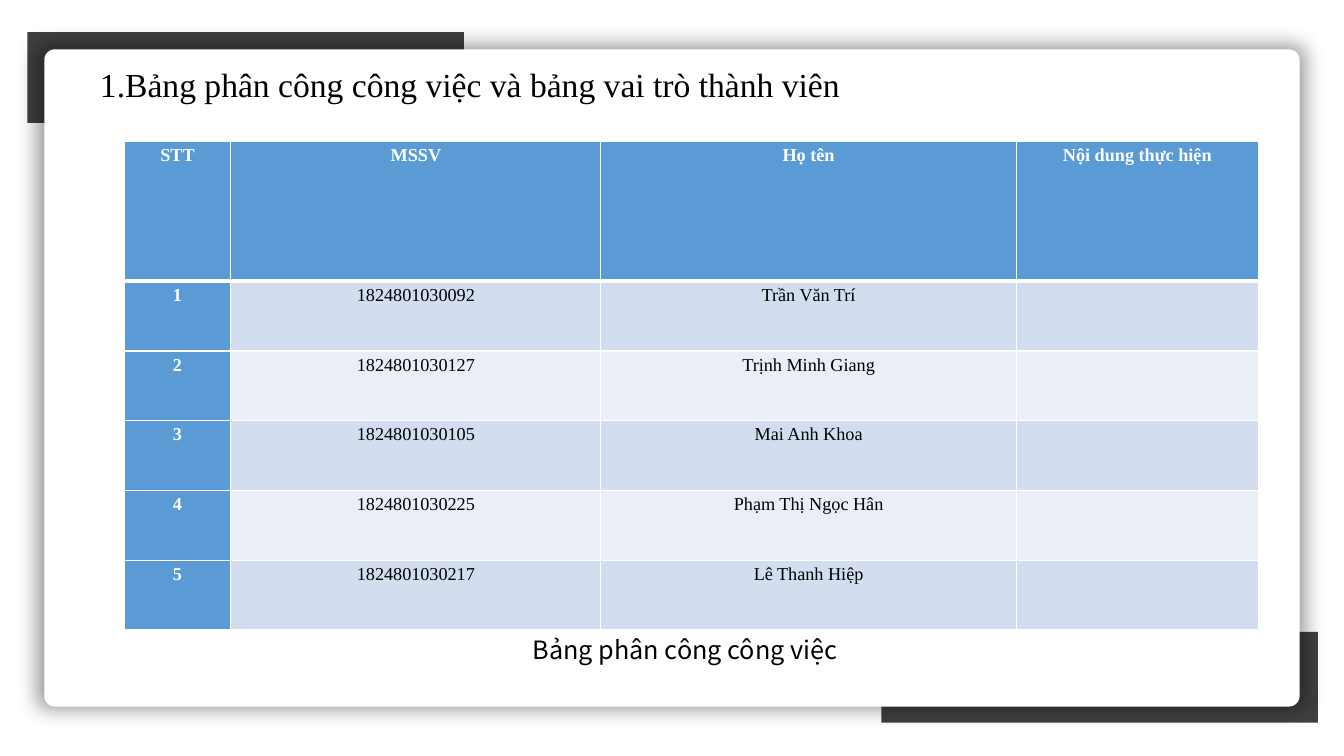
import pptx
import pptx.util
import pptx.oxml
import pptx.oxml.ns
import pptx.dml.color
import pptx.enum.shapes
import pptx.enum.text

WIDE, HIGH = pptx.util.Inches(13.33), pptx.util.Inches(7.5)
HUES = {"bar": "404040", "white": "FFFFFF", "black": "000000",
        "head": "5B9BD5", "odd": "D2DEEF", "even": "EAEFF7"}
SERIF, SANS = "Times New Roman", "Noto Sans CJK SC"
KINDS = pptx.enum.shapes.MSO_SHAPE
CENTER = pptx.enum.text.PP_ALIGN.CENTER

# Table content and grid, in percent of the slide
HEADS = ("STT", "MSSV", "Họ tên", "Nội dung thực hiện")
TEAM = (("1824801030092", "Trần Văn Trí"),
        ("1824801030127", "Trịnh Minh Giang"),
        ("1824801030105", "Mai Anh Khoa"),
        ("1824801030225", "Phạm Thị Ngọc Hân"),
        ("1824801030217", "Lê Thanh Hiệp"))
COLS = (7.95, 27.53, 30.91, 18)
TOP_ROW, ROW = 18.53, 9.23


def across(share):
    return round(WIDE * share / 100)


def down(share):
    return round(HIGH * share / 100)


def place(left, top, width, height):
    return across(left), down(top), across(width), down(height)


def color(name):
    return pptx.dml.color.RGBColor.from_string(HUES[name])


def add_run(para, text, size, face, hue="black", bold=False):
    run = para.add_run()
    run.text = text
    font = run.font
    font.size, font.name, font.bold = pptx.util.Pt(size), face, bold
    font.color.rgb = color(hue)


def add_block(slide, kind, box, hue):
    shape = slide.shapes.add_shape(kind, *place(*box))
    shape.shadow.inherit = False
    shape.fill.solid()
    shape.fill.fore_color.rgb = color(hue)
    shape.line.fill.background()
    return shape


def add_glow(shape):
    """Cast a soft, even shadow around the shape."""
    blur = pptx.util.Pt(15)
    ns = pptx.oxml.ns.nsdecls("a")
    effect = shape._element.spPr.find(pptx.oxml.ns.qn("a:effectLst"))
    effect.append(pptx.oxml.parse_xml(
        f'<a:outerShdw {ns} blurRad="{blur}" sx="101000" sy="101000" '
        f'algn="ctr" rotWithShape="0"><a:srgbClr val="{HUES["black"]}">'
        '<a:alpha val="40000"/></a:srgbClr></a:outerShdw>'))


def add_label(slide, box, text, size, face, align=None):
    frame = slide.shapes.add_textbox(*place(*box)).text_frame
    frame.word_wrap = True
    frame.auto_size = pptx.enum.text.MSO_AUTO_SIZE.SHAPE_TO_FIT_TEXT
    frame.paragraphs[0].alignment = align
    add_run(frame.paragraphs[0], text, size, face)


def add_edges(cell, top, base):
    """Draw white borders, given the top and bottom widths in points."""
    ns = pptx.oxml.ns.nsdecls("a")
    sides = (("L", 1), ("R", 1), ("T", top), ("B", base))
    for spot, (side, width) in enumerate(sides):
        cell._tc.get_or_add_tcPr().insert(spot, pptx.oxml.parse_xml(
            f'<a:ln{side} {ns} w="{pptx.util.Pt(width)}"><a:solidFill>'
            f'<a:srgbClr val="{HUES["white"]}"/></a:solidFill></a:ln{side}>'))


def fill_cell(cell, text, row, col):
    head = row == 0 or col == 0
    cell.fill.solid()
    cell.fill.fore_color.rgb = color(
        "head" if head else "odd" if row % 2 else "even")
    add_edges(cell, 3 if row == 1 else 1, 3 if row == 0 else 1)
    cell.margin_left = cell.margin_right = pptx.util.Inches(0.07)
    cell.margin_top = cell.margin_bottom = 0
    if text:
        para = cell.text_frame.paragraphs[0]
        para.alignment = CENTER
        para.line_spacing = 1.2
        para.space_after = pptx.util.Pt(8)
        add_run(para, text, 13, SERIF, "white" if head else "black", head)


def add_grid(slide, left, top):
    rows = [HEADS] + [(str(num), code, name, "")
                      for num, (code, name) in enumerate(TEAM, 1)]
    box = place(left, top, sum(COLS), TOP_ROW + ROW * len(TEAM))
    table = slide.shapes.add_table(len(rows), len(COLS), *box).table
    table.first_col = True
    for col, share in zip(table.columns, COLS):
        col.width = across(share)
    for row, texts in enumerate(rows):
        table.rows[row].height = down(ROW if row else TOP_ROW)
        for col, text in enumerate(texts):
            fill_cell(table.cell(row, col), text, row, col)


def main():
    deck = pptx.Presentation()
    deck.slide_width, deck.slide_height = WIDE, HIGH
    slide = deck.slides.add_slide(deck.slide_layouts[6])

    # Corner bars behind the white panel
    for left, top in ((65.57, 83.6), (2.03, 4.27)):
        add_block(slide, KINDS.RECTANGLE, (left, top, 32.48, 12), "bar")
    panel = add_block(slide, KINDS.ROUNDED_RECTANGLE,
                      (3.3, 6.53, 93.4, 86.93), "white")
    panel.adjustments[0] = 0.016
    add_glow(panel)

    # Title, caption and table
    add_label(slide, (6.08, 7.73, 62.04, 6.67),
              " 1.Bảng phân công công việc và bảng vai trò thành viên",
              24, SERIF)
    add_label(slide, (35.11, 83.2, 31.73, 5.33),
              "Bảng phân công công việc", 18, SANS, CENTER)
    add_grid(slide, 9.23, 18.67)

    deck.save("out.pptx")


if __name__ == "__main__":
    main()
